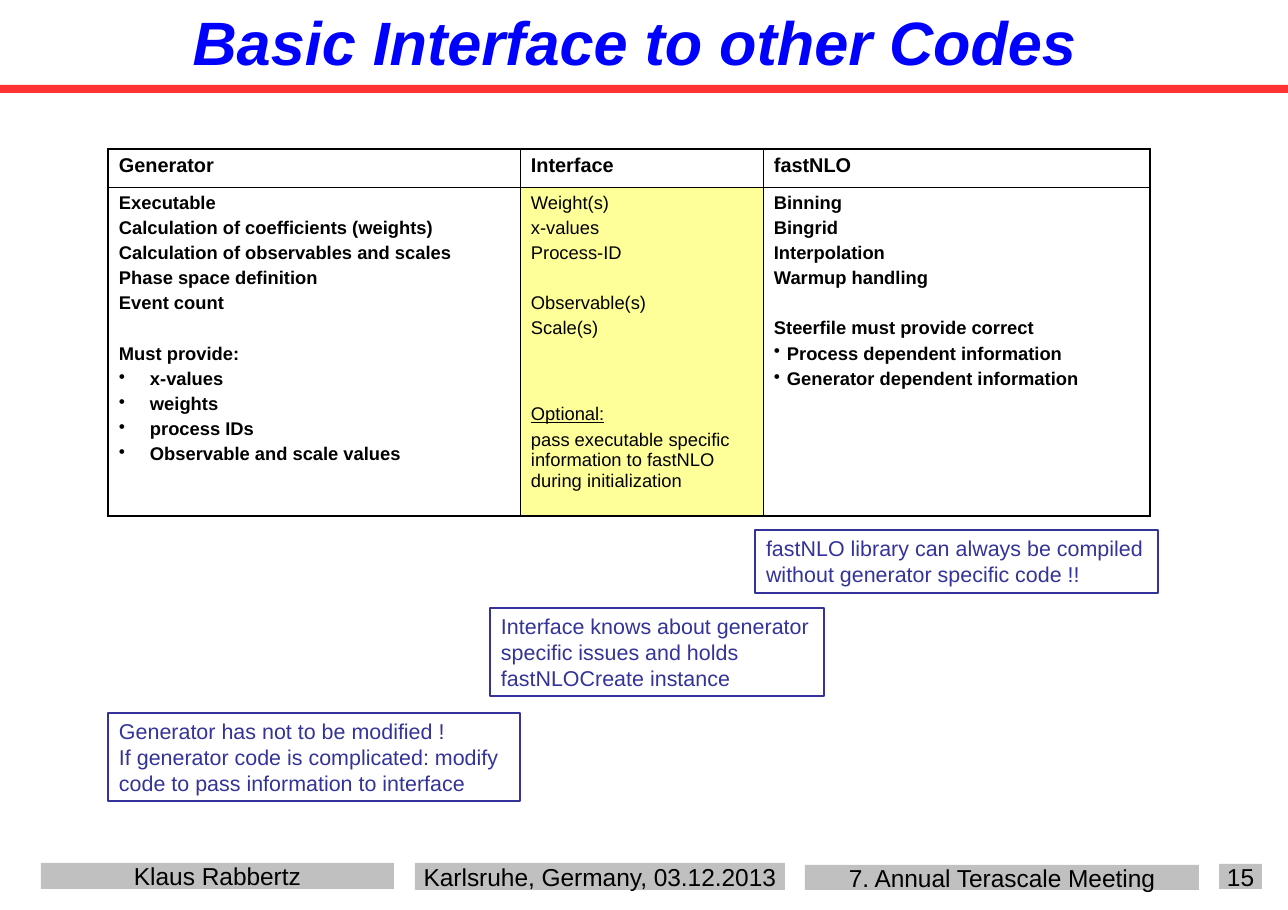
import pptx
import pptx.util
import pptx.dml.color
import pptx.enum.shapes
import pptx.enum.text
import pptx.oxml.ns
import lxml.etree

PX = 914400 / 110.2
RGB = pptx.dml.color.RGBColor
BLACK = RGB(0x00, 0x00, 0x00)
BLUE = RGB(0x00, 0x00, 0xFF)
NAVY = RGB(0x33, 0x33, 0x99)
RED = RGB(0xFF, 0x33, 0x33)
GRAY = RGB(0xC0, 0xC0, 0xC0)
YELLOW = RGB(0xFF, 0xFF, 0x99)
ALIGN = pptx.enum.text.PP_ALIGN
ANCHOR = pptx.enum.text.MSO_ANCHOR

PAGE_SIZE = (1288, 910)
TITLE = "Basic Interface to other Codes"
TITLE_AREA = (90, 0, 1089, 83)
TITLE_RULE = (0, 85, 1288, 8)
FOOTERS = [
    ("Klaus Rabbertz", (41, 863, 353, 26)),
    ("Karlsruhe, Germany, 03.12.2013", (415, 863, 370, 27)),
    ("7. Annual Terascale Meeting", (805, 865, 394, 25)),
    ("15", (1219, 864, 43, 25)),
]
CALLOUTS = [
    (["fastNLO library can always be compiled without generator specific code !!"],
     (755, 530, 403, 63)),
    (["Interface knows about generator specific issues and holds fastNLOCreate instance"],
     (490, 608, 334, 88)),
    (["Generator has not to be modified !",
      "If generator code is complicated: modify code to pass information to interface"],
     (108, 713, 412, 88)),
]

LINE_GAP, GROUP_GAP, OPTIONAL_GAP = 3, 19.4, 42.8
TABLE_ORIGIN = (108, 149)
COLUMN_WIDTHS = [412, 243, 387]
ROW_HEIGHTS = [38, 329]
HEADINGS = ["Generator", "Interface", "fastNLO"]
COLUMNS = [
    dict(bold=True, fill=None, hang=31, lines=[
        "Executable", "Calculation of coefficients (weights)",
        "Calculation of observables and scales", "Phase space definition",
        "Event count", ("Must provide:", dict(before=GROUP_GAP)),
        ("x-values", dict(bullet=True)), ("weights", dict(bullet=True)),
        ("process IDs", dict(bullet=True)),
        ("Observable and scale values", dict(bullet=True))]),
    dict(bold=False, fill=YELLOW, hang=0, lines=[
        "Weight(s)", "x-values", "Process-ID",
        ("Observable(s)", dict(before=GROUP_GAP)), "Scale(s)",
        ("Optional:", dict(before=OPTIONAL_GAP, underline=True)),
        "pass executable specific information to fastNLO during initialization"]),
    dict(bold=True, fill=None, hang=13, lines=[
        "Binning", "Bingrid", "Interpolation", "Warmup handling",
        ("Steerfile must provide correct", dict(before=GROUP_GAP)),
        ("Process dependent information", dict(bullet=True)),
        ("Generator dependent information", dict(bullet=True))]),
]


def emu(*lengths):
    return [pptx.util.Emu(round(length * PX)) for length in lengths]


def add_text(frame, text, first=True, size=12, color=BLACK, bold=False, italic=False,
             underline=False, align=ALIGN.LEFT, before=0, bullet=False, hang=0):
    para = frame.paragraphs[0] if first else frame.add_paragraph()
    para.alignment = align
    if not first:
        para.space_before = pptx.util.Pt(before)
    if bullet:
        indent = emu(hang)[0]
        properties = para._p.get_or_add_pPr()
        properties.set("marL", str(indent))
        properties.set("indent", str(-indent))
        mark = lxml.etree.SubElement(properties, pptx.oxml.ns.qn("a:buChar"))
        mark.set("char", "•")
    span = para.add_run()
    span.text = text
    font = span.font
    font.name, font.size, font.color.rgb = "Arial", pptx.util.Pt(size), color
    font.bold, font.italic, font.underline = bold, italic, underline


def set_frame(frame, anchor, inset=(0, 0), wrap=True):
    frame.word_wrap = wrap
    frame.vertical_anchor = anchor
    side, end = emu(*inset)
    frame.margin_left = frame.margin_right = side
    frame.margin_top = frame.margin_bottom = end


def add_box(page, area, fill=None, line=None):
    box = page.shapes.add_shape(pptx.enum.shapes.MSO_SHAPE.RECTANGLE, *emu(*area))
    box.shadow.inherit = False
    if fill is None:
        box.fill.background()
    else:
        box.fill.solid()
        box.fill.fore_color.rgb = fill
    if line is None:
        box.line.fill.background()
    else:
        box.line.color.rgb = line
        box.line.width = pptx.util.Pt(1)
    return box


def set_borders(cell, row, column):
    outer = dict(L=column == 0, R=column == len(COLUMNS) - 1,
                 T=row == 0, B=row == len(ROW_HEIGHTS) - 1)
    properties = cell._tc.get_or_add_tcPr()
    for position, (side, is_outer) in enumerate(outer.items()):
        border = lxml.etree.Element(pptx.oxml.ns.qn("a:ln" + side))
        border.set("w", str(pptx.util.Pt(1.08 if is_outer else 0.45)))
        fill = lxml.etree.SubElement(border, pptx.oxml.ns.qn("a:solidFill"))
        lxml.etree.SubElement(fill, pptx.oxml.ns.qn("a:srgbClr")).set("val", str(BLACK))
        properties.insert(position, border)


def add_comparison(page):
    area = emu(*TABLE_ORIGIN, sum(COLUMN_WIDTHS), sum(ROW_HEIGHTS))
    table = page.shapes.add_table(len(ROW_HEIGHTS), len(COLUMNS), *area).table
    table.first_row = table.horz_banding = False
    for row, height in zip(table.rows, emu(*ROW_HEIGHTS)):
        row.height = height
    for index, (heading, column) in enumerate(zip(HEADINGS, COLUMNS)):
        table.columns[index].width = emu(COLUMN_WIDTHS[index])[0]
        head, body = table.cell(0, index), table.cell(1, index)
        for row, cell in enumerate((head, body)):
            cell.margin_left = cell.margin_right = emu(11)[0]
            cell.margin_top = cell.margin_bottom = emu(5.5)[0]
            cell.vertical_anchor = ANCHOR.TOP
            cell.fill.background()
            set_borders(cell, row, index)
        if column["fill"] is not None:
            body.fill.solid()
            body.fill.fore_color.rgb = column["fill"]
        add_text(head.text_frame, heading, size=13, bold=True)
        for number, line in enumerate(column["lines"]):
            text, style = (line, {}) if isinstance(line, str) else line
            style = dict(before=LINE_GAP, bold=column["bold"], hang=column["hang"]) | style
            add_text(body.text_frame, text, first=number == 0, **style)


def main():
    deck = pptx.Presentation()
    deck.slide_width, deck.slide_height = emu(*PAGE_SIZE)
    page = deck.slides.add_slide(deck.slide_layouts[6])
    for text, area in FOOTERS:
        box = add_box(page, area, fill=GRAY)
        set_frame(box.text_frame, ANCHOR.MIDDLE, wrap=False)
        add_text(box.text_frame, text, size=16, align=ALIGN.CENTER)
    add_box(page, TITLE_RULE, fill=RED)
    title = page.shapes.add_textbox(*emu(*TITLE_AREA))
    set_frame(title.text_frame, ANCHOR.MIDDLE)
    add_text(title.text_frame, TITLE, size=40, color=BLUE, bold=True, italic=True,
             align=ALIGN.CENTER)
    add_comparison(page)
    for lines, area in CALLOUTS:
        box = add_box(page, area, line=NAVY)
        set_frame(box.text_frame, ANCHOR.TOP, inset=(11, 5.5))
        for number, text in enumerate(lines):
            add_text(box.text_frame, text, first=number == 0, size=14, color=NAVY)
    deck.save("out.pptx")


if __name__ == "__main__":
    main()
